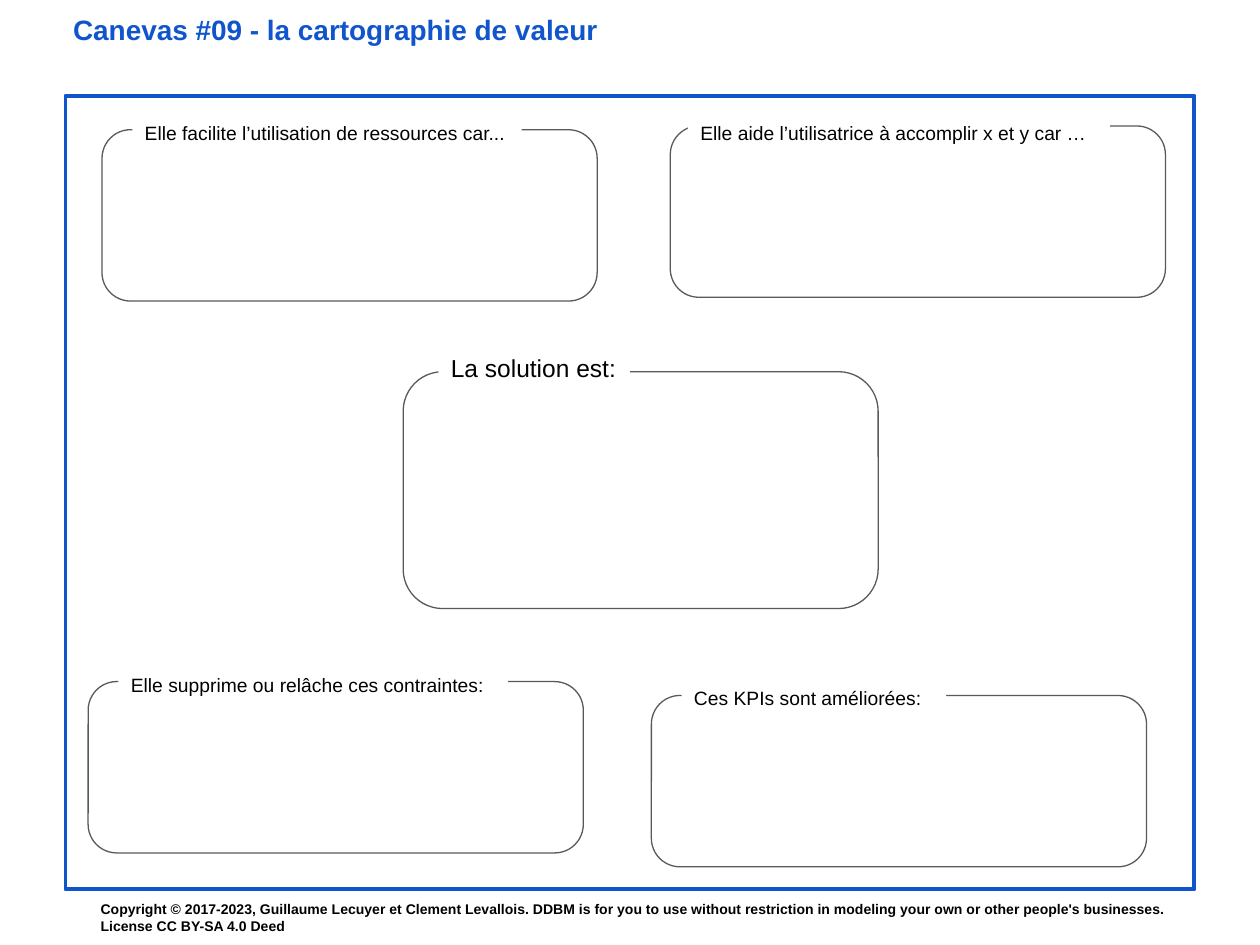
"""Build the value-mapping canvas slide."""
from pptx import Presentation, util as u
from pptx.dml.color import RGBColor
from pptx.enum import shapes, text

BLUE = RGBColor(0x11, 0x55, 0xCC)
GREY = RGBColor(0x59, 0x59, 0x59)
BLACK = RGBColor(0, 0, 0)
WHITE = RGBColor(255, 255, 255)

TITLE = "Canevas #09 - la cartographie de valeur"
COPYRIGHT = (
    "Copyright © 2017-2023, Guillaume Lecuyer et Clement Levallois. "
    "DDBM is for you to use without restriction in modeling your own or other "
    "people's businesses. License CC BY-SA 4.0 Deed"
)
SIDE, CENTRE = (3.93, 1.36), (3.77, 1.88)
LABEL_HEIGHT = 0.3
CARDS = [
    dict(label="Elle facilite l’utilisation de ressources car...",
         corner=(0.81, 1.03), label_width=3.09),
    dict(label="Elle aide l’utilisatrice à accomplir x et y car …",
         corner=(5.32, 1), label_width=3.35, offset=(0.14, -0.14)),
    dict(label="Elle supprime ou relâche ces contraintes:",
         corner=(0.7, 5.41), label_width=3.09),
    dict(label="Ces KPIs sont améliorées:",
         corner=(5.17, 5.52), label_width=2.1),
    dict(label="La solution est:", corner=(3.2, 2.95), label_width=1.52,
         offset=(0.28, -0.25), size=CENTRE, points=14, fill=WHITE),
]


def inches(*lengths):
    return [u.Inches(length) for length in lengths]


def write(holder, content, points=11, color=BLACK, bold=False,
          anchor=text.MSO_ANCHOR.TOP):
    frame = holder.text_frame
    frame.text = content
    frame.word_wrap = True
    frame.auto_size = text.MSO_AUTO_SIZE.NONE
    frame.vertical_anchor = anchor
    frame.margin_left = frame.margin_right = u.Inches(0.1)
    frame.margin_top = frame.margin_bottom = u.Inches(0.1)
    paragraph = frame.paragraphs[0]
    paragraph.alignment = text.PP_ALIGN.LEFT
    font = paragraph.runs[0].font
    font.name, font.size, font.bold = "Arial", u.Pt(points), bold
    font.color.rgb = color


def draw(parent, kind, box, fill=None, line=None, weight=0.75):
    shape = parent.shapes.add_shape(kind, *inches(*box))
    shape.shadow.inherit = False
    if fill is None:
        shape.fill.background()
    else:
        shape.fill.solid()
        shape.fill.fore_color.rgb = fill
    if line is None:
        shape.line.fill.background()
    else:
        shape.line.color.rgb = line
        shape.line.width = u.Pt(weight)
    return shape


def add_card(slide, label, corner, label_width, offset=(0.24, -0.17),
             size=SIDE, points=11, fill=None):
    card = slide.shapes.add_group_shape()
    outline = draw(card, shapes.MSO_SHAPE.ROUNDED_RECTANGLE,
                   (*corner, *size), fill=fill, line=GREY)
    outline.adjustments[0] = 0.167
    left, top = (start + shift for start, shift in zip(corner, offset))
    caption = draw(card, shapes.MSO_SHAPE.RECTANGLE,
                   (left, top, label_width, LABEL_HEIGHT), fill=WHITE)
    write(caption, label, points=points)


def main():
    deck = Presentation()
    deck.slide_width, deck.slide_height = inches(10, 7.5)
    slide = deck.slides.add_slide(deck.slide_layouts[5])

    title = slide.shapes.title
    title.left, title.top, title.width, title.height = inches(0.48, 0, 4.66, 0.74)
    write(title, TITLE, points=16, color=BLUE, bold=True)

    draw(slide, shapes.MSO_SHAPE.RECTANGLE, (0.52, 0.76, 8.96, 6.3),
         line=BLUE, weight=2.25)
    for card in CARDS:
        add_card(slide, **card)

    footer = slide.shapes.add_textbox(*inches(0.7, 7.13, 8.96, 0.3))
    write(footer, COPYRIGHT, points=8, bold=True, anchor=text.MSO_ANCHOR.MIDDLE)
    deck.save("out.pptx")


if __name__ == "__main__":
    main()
